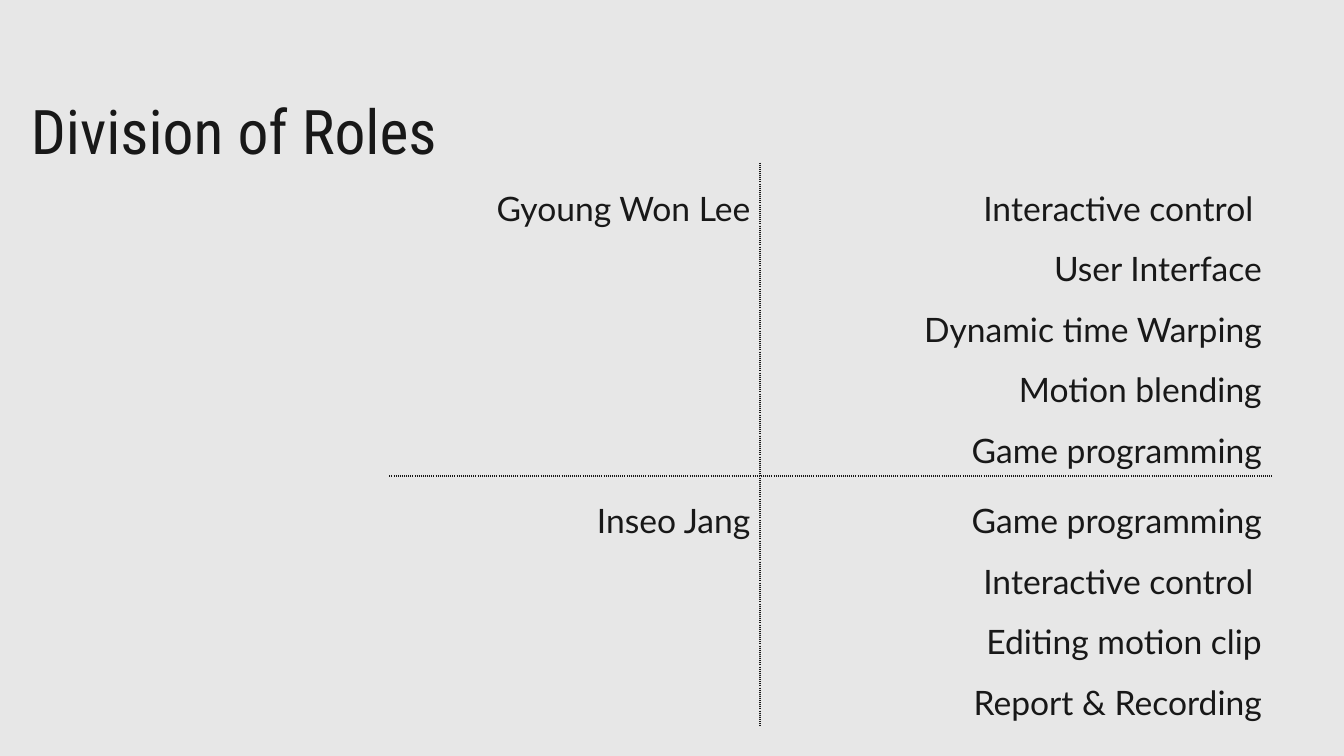
from dataclasses import dataclass

from lxml import etree
from pptx import Presentation
from pptx import oxml
from pptx.dml.color import RGBColor
from pptx.enum import shapes, text
from pptx.oxml import ns
from pptx.util import Pt


@dataclass(frozen=True)
class Theme:
    """Colours, fonts and type sizes of the slide."""
    ink: str = "000000"
    paper: str = "FFFFFF"
    veil: str = "808080"
    veil_edge: str = "43739E"
    veil_opacity: int = 19
    heading_font: str = "Roboto Condensed"
    body_font: str = "Lato"
    heading_size: int = 44
    body_size: int = 24


THEME = Theme()
ROLES = {
    "Gyoung Won Lee": ["Interactive control ", "User Interface", "Dynamic time Warping",
                       "Motion blending", "Game programming"],
    "Inseo Jang": ["Game programming", "Interactive control ", "Editing motion clip",
                   "Report & Recording"],
}
NAME_SHARE = 0.42
ROW_HEIGHTS = (210, 142.5)


def apply(target, values):
    """Set each named attribute of the target."""
    for attribute, value in values.items():
        setattr(target, attribute, value)


def write(frame, lines, font, paragraph):
    """Fill a text frame with one paragraph per line."""
    frame.text = "\n".join(lines)
    for line in frame.paragraphs:
        apply(line, paragraph)
        for run in line.runs:
            apply(run.font, font)
            run.font.color.rgb = RGBColor.from_string(THEME.ink)


def draw_border(cell, position, side, inner):
    """Add one cell border: dotted inside the table, plain at its rim."""
    color, width, dash = (THEME.ink, 1.5, "sysDot") if inner else (THEME.paper, 1, "solid")
    border = oxml.parse_xml(
        f'<a:ln{side} {ns.nsdecls("a")} w="{Pt(width)}"><a:solidFill>'
        f'<a:srgbClr val="{color}"/></a:solidFill><a:prstDash val="{dash}"/></a:ln{side}>')
    cell._tc.get_or_add_tcPr().insert(position, border)


def add_title(slide, box):
    """Place the slide heading in the box."""
    heading = slide.shapes.add_textbox(*map(Pt, box)).text_frame
    apply(heading, {"word_wrap": True, "vertical_anchor": text.MSO_ANCHOR.MIDDLE})
    write(heading, ["Division of Roles"],
          {"name": THEME.heading_font, "size": Pt(THEME.heading_size)},
          {"line_spacing": 0.9})


def add_roles(slide, box):
    """Place the table of members and their tasks in the box."""
    width = box[2]
    roles = slide.shapes.add_table(len(ROLES), 2, *map(Pt, box)).table
    apply(roles, {"first_row": False, "horz_banding": False})
    for column, share in zip(roles.columns, (NAME_SHARE, 1 - NAME_SHARE)):
        column.width = Pt(width * share)
    for row, height in zip(roles.rows, ROW_HEIGHTS):
        row.height = Pt(height)
    last_row = len(ROLES) - 1
    for row, (member, tasks) in enumerate(ROLES.items()):
        for column, lines in enumerate(([member], tasks)):
            cell = roles.cell(row, column)
            cell.fill.background()
            write(cell.text_frame, lines,
                  {"name": THEME.body_font, "size": Pt(THEME.body_size), "bold": False},
                  {"alignment": text.PP_ALIGN.RIGHT, "line_spacing": 1.5})
            inner_sides = {"L": column > 0, "R": column < 1, "T": row > 0, "B": row < last_row}
            for position, (side, inner) in enumerate(inner_sides.items()):
                draw_border(cell, position, side, inner)


def add_veil(slide, box):
    """Lay a translucent grey sheet over the box."""
    veil = slide.shapes.add_shape(shapes.MSO_SHAPE.RECTANGLE, *map(Pt, box))
    veil.shadow.inherit = False
    veil.fill.solid()
    veil.fill.fore_color.rgb = RGBColor.from_string(THEME.veil)
    veil.line.color.rgb = RGBColor.from_string(THEME.veil_edge)
    veil.line.width = Pt(1)
    tint = veil.fill._xPr.find(ns.qn("a:solidFill"))[0]
    etree.SubElement(tint, ns.qn("a:alpha"), val=str(THEME.veil_opacity * 1000))


def main():
    """Build and save the slide."""
    deck = Presentation()
    apply(deck, {"slide_width": Pt(960), "slide_height": Pt(540)})
    slide = deck.slides.add_slide(deck.slide_layouts[6])
    add_title(slide, (15, 44, 828, 104.5))
    add_roles(slide, (278.5, 116.5, 630, 403))
    add_veil(slide, (-36.5, -52.5, 1070.5, 637))
    deck.save("out.pptx")


if __name__ == "__main__":
    main()
